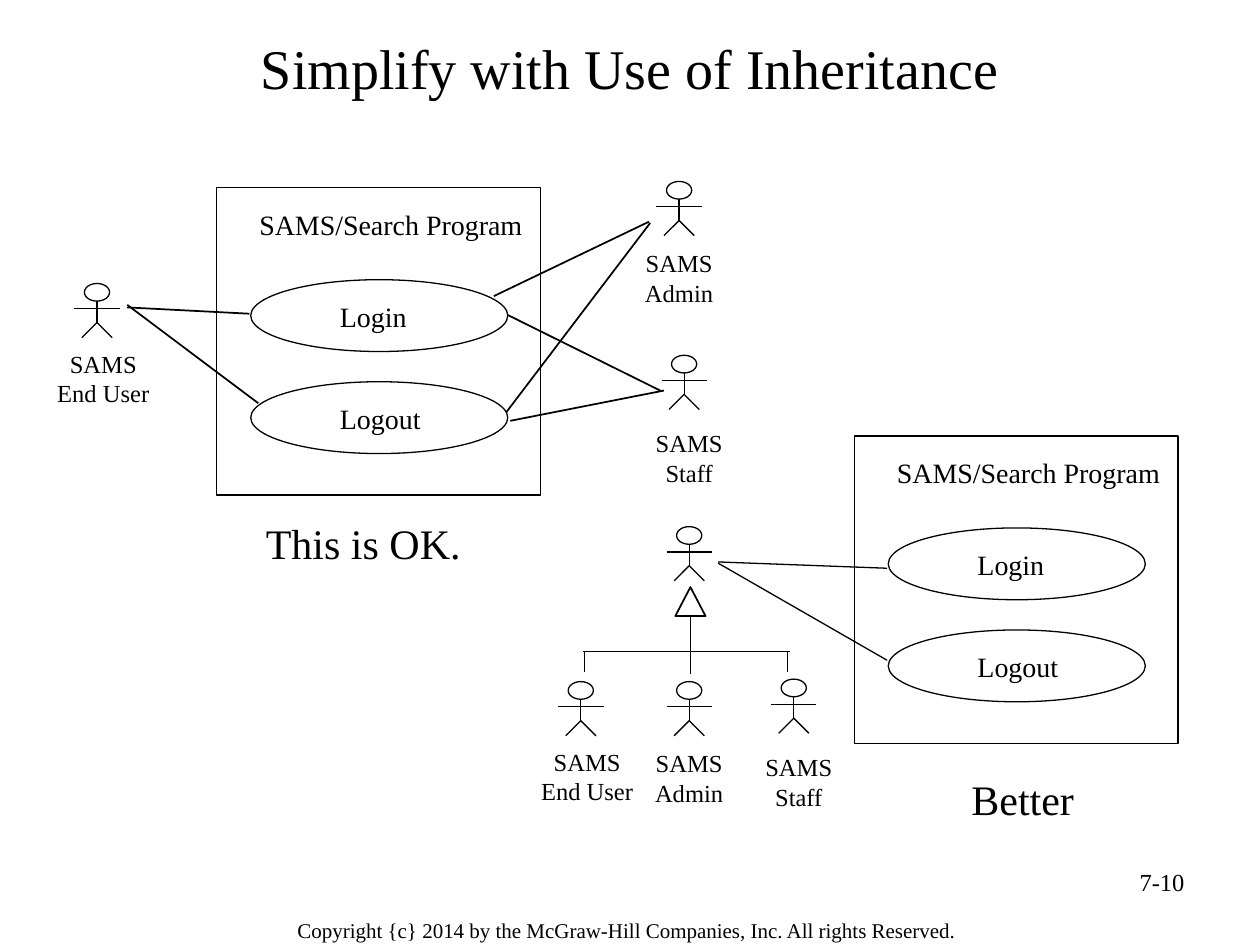
from lxml import etree
from pptx import Presentation
from pptx import util as u
from pptx.dml import color
from pptx.enum import shapes, text
from pptx.oxml import ns

Inches = u.Inches
COLORS = {"ink": "000000"}
FONT = "Times New Roman"
INSETS = (0.1, 0.05)
THIN, MEDIUM = 0.75, 1
ROLES = {
    "End User": {"width": 0.93, "shift": 0.05, "drop": 0.47},
    "Admin": {"width": 0.74, "shift": 0, "drop": 0.48},
    "Staff": {"width": 0.73, "shift": 0.04, "drop": 0.53},
}


def ink():
    """Return the colour of all text and lines."""
    return color.RGBColor.from_string(COLORS["ink"])


def add_text(parts, words, left, top, width, height, *, size, align="LEFT",
             insets=INSETS, wrap=False, anchor="TOP"):
    """Add a text box with one paragraph for each line of words."""
    box = parts.add_textbox(Inches(left), Inches(top), Inches(width), Inches(height))
    frame = box.text_frame
    frame.word_wrap = wrap
    frame.vertical_anchor = getattr(text.MSO_ANCHOR, anchor)
    frame.margin_left = frame.margin_right = Inches(insets[0])
    frame.margin_top = frame.margin_bottom = Inches(insets[1])
    frame.text = words
    for para in frame.paragraphs:
        para.alignment = getattr(text.PP_ALIGN, align)
        para.font.size = u.Pt(size)
        para.font.name = FONT
        para.font.color.rgb = ink()


def add_outline(parts, kind, left, top, width, height, weight=THIN):
    """Add an unfilled preset shape."""
    shape = parts.add_shape(getattr(shapes.MSO_SHAPE, kind), Inches(left), Inches(top),
                            Inches(width), Inches(height))
    shape.shadow.inherit = False
    shape.fill.background()
    shape.line.color.rgb = ink()
    shape.line.width = u.Pt(weight)


def add_lines(parts, segments, weight=THIN):
    """Add a straight line for each (x1, y1, x2, y2) segment."""
    for segment in segments:
        line = parts.add_connector(shapes.MSO_CONNECTOR.STRAIGHT, *map(Inches, segment))
        line.line.color.rgb = ink()
        line.line.width = u.Pt(weight)
        etree.SubElement(line._element.spPr, ns.qn("a:effectLst"))


def add_actor(parts, left, top, role=None):
    """Add a stick figure and the label of its role."""
    center, hip, foot = left + 0.18, top + 0.31, top + 0.43
    add_outline(parts, "OVAL", left + 0.08, top, 0.2, 0.14)
    add_lines(parts, [
        (left, top + 0.2, left + 0.36, top + 0.2),
        (center, top + 0.14, center, hip),
        (center, hip, center - 0.12, foot),
        (center, hip, center + 0.12, foot),
    ])
    if role:
        label = ROLES[role]
        add_text(parts, f"SAMS\n{role}", center + label["shift"] - label["width"] / 2,
                 top + label["drop"], label["width"], 0.57, size=14, align="CENTER")


def add_system(parts, left, top):
    """Add the program boundary with its two use cases."""
    for row, (name, width) in enumerate([("Login", 0.73), ("Logout", 0.84)]):
        case_top = top + 0.73 + row * 0.81
        add_outline(parts, "OVAL", left + 0.27, case_top, 2.04, 0.57)
        add_text(parts, name, left + 0.88, case_top + 0.11, width, 0.37, size=16)
    add_outline(parts, "RECTANGLE", left, top, 2.57, 2.44)
    add_text(parts, "SAMS/Search Program", left + 0.24, top + 0.11, 2.29, 0.37, size=16)


def add_direct_diagram(parts, left, top):
    """Add the diagram in which every actor uses each case."""
    add_system(parts, left + 1.36, top + 0.05)
    for across, down, role in [(0.23, 0.81, "End User"), (4.85, 0, "Admin"),
                               (4.89, 1.38, "Staff")]:
        add_actor(parts, left + across, top + down, role)
    links = [
        (0.65, 1, 1.62, 1.05), (0.65, 0.98, 1.69, 1.76),
        (4.79, 0.32, 3.56, 0.91), (4.8, 0.33, 3.66, 1.83),
        (3.67, 1.06, 4.88, 1.66), (3.69, 1.9, 4.91, 1.66),
    ]
    add_lines(parts, [(left + x1, top + y1, left + x2, top + y2)
                      for x1, y1, x2, y2 in links], MEDIUM)
    add_text(parts, "This is OK.", left + 1.75, top + 2.67, 1.55, 0.4, size=24, insets=(0, 0))


def add_inheritance_diagram(parts, left, top):
    """Add the diagram in which three actors inherit from one."""
    add_system(parts, left + 2.58, top)
    add_actor(parts, left + 1.09, top + 0.72)
    for across, down, role in [(0.23, 1.95, "End User"), (1.09, 1.95, "Admin"),
                               (1.92, 1.93, "Staff")]:
        add_actor(parts, left + across, top + down, role)
    add_lines(parts, [
        (left + 1.5, top + 1, left + 2.84, top + 1.05),
        (left + 1.5, top + 1.01, left + 2.84, top + 1.78),
    ])
    stem, bar = left + 1.28, top + 1.71
    add_outline(parts, "ISOSCELES_TRIANGLE", stem - 0.12, top + 1.2, 0.24, 0.23, MEDIUM)
    add_lines(parts, [
        (left + 0.43, bar, left + 2.07, bar),
        (stem, top + 1.43, stem, top + 1.89),
        (left + 0.44, bar, left + 0.44, bar + 0.16),
        (left + 2.05, bar, left + 2.05, bar + 0.16),
    ], MEDIUM)
    add_text(parts, "Better", left + 3.51, top + 2.68, 0.82, 0.4, size=24, insets=(0, 0))


def add_frame(parts):
    """Add the title, page number and copyright line."""
    add_text(parts, "Copyright {c} 2014 by the McGraw-Hill Companies, Inc. All rights Reserved.",
             1.88, 7.22, 6.19, 0.31, size=12, align="CENTER", insets=(0.11, 0.06), wrap=True)
    add_text(parts, "7-10", 7.17, 6.83, 2.33, 0.52, size=14, align="RIGHT", wrap=True)
    add_text(parts, "Simplify with Use of Inheritance", 0.5, 0.16, 9, 0.75,
             size=32, align="CENTER", wrap=True, anchor="MIDDLE")


def main():
    """Build the slide and save the deck."""
    deck = Presentation()
    deck.slide_width, deck.slide_height = Inches(10), Inches(7.5)
    page = deck.slides.add_slide(deck.slide_layouts[6])
    add_frame(page.shapes)
    add_direct_diagram(page.shapes.add_group_shape().shapes, 0.36, 1.44)
    add_inheritance_diagram(page.shapes.add_group_shape().shapes, 4.2, 3.46)
    deck.save("out.pptx")


if __name__ == "__main__":
    main()
